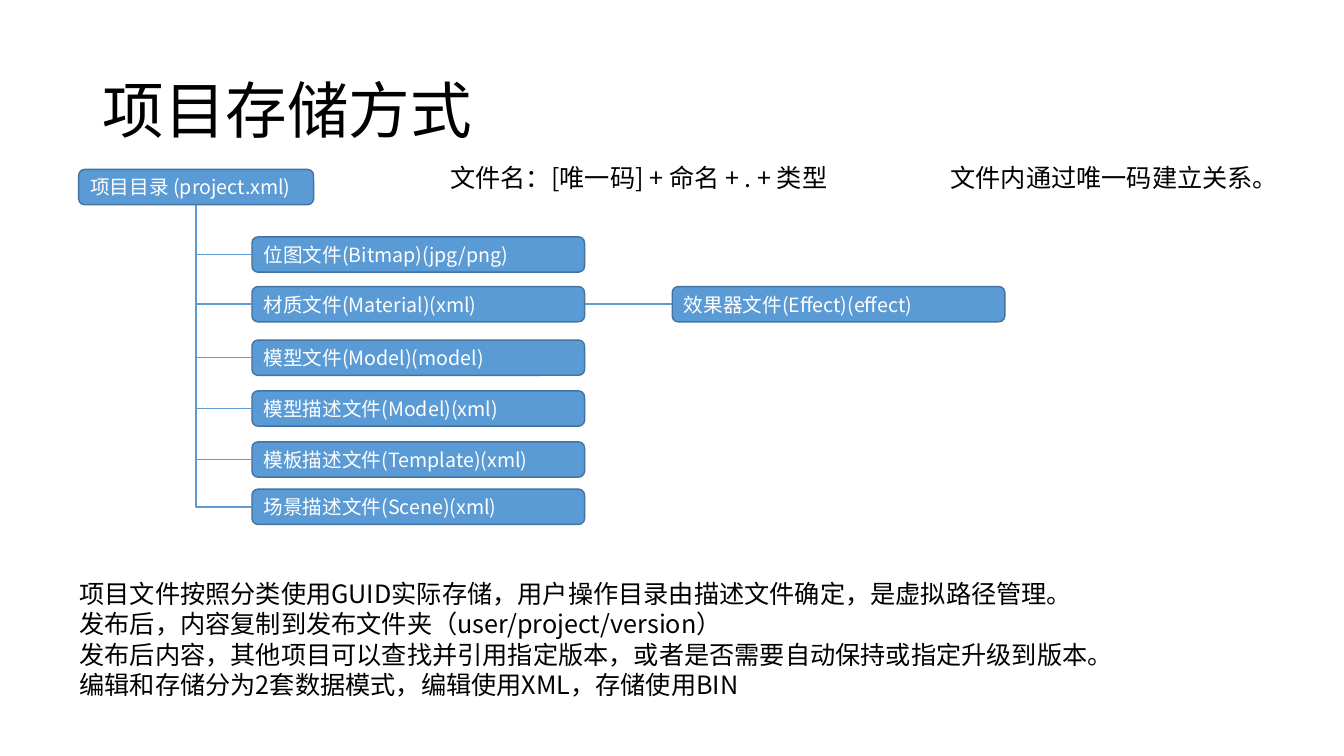
"""Build a slide showing how project files are stored."""

import dataclasses

import pptx
import pptx.dml.color
import pptx.enum.shapes
import pptx.enum.text
import pptx.oxml
import pptx.oxml.ns
import pptx.shapes.autoshape
import pptx.shapes.connector
import pptx.slide
import pptx.text.text
import pptx.util

Pt = pptx.util.Pt
BLUE = pptx.dml.color.RGBColor(0x5B, 0x9B, 0xD5)
DARK_BLUE = pptx.dml.color.RGBColor(0x43, 0x73, 0x9E)
WHITE = pptx.dml.color.RGBColor(0xFF, 0xFF, 0xFF)
BLACK = pptx.dml.color.RGBColor(0x00, 0x00, 0x00)
FONT = "Noto Sans CJK SC"
NODE_HEIGHT = 25.2
FILE_LEFT, FILE_WIDTH = 180, 237.6
BOTTOM_SITE, LEFT_SITE, RIGHT_SITE = 2, 1, 3


@dataclasses.dataclass(frozen=True)
class Node:
    text: str
    left: float
    top: float
    width: float = FILE_WIDTH

    @property
    def middle(self) -> float:
        return self.top + NODE_HEIGHT / 2


@dataclasses.dataclass(frozen=True)
class Label:
    lines: tuple[str, ...]
    left: float
    top: float
    width: float
    height: float
    size: float = 18
    line_spacing: float = 1.0
    anchor: pptx.enum.text.MSO_ANCHOR = pptx.enum.text.MSO_ANCHOR.TOP


ROOT = Node("项目目录 (project.xml)", 56.2, 121, 167.8)
BITMAP = Node("位图文件(Bitmap)(jpg/png)", FILE_LEFT, 169.2)
MATERIAL = Node("材质文件(Material)(xml)", FILE_LEFT, 204.7)
FILES = (
    BITMAP,
    MATERIAL,
    Node("模型文件(Model)(model)", FILE_LEFT, 242.9),
    Node("模型描述文件(Model)(xml)", FILE_LEFT, 279.2),
    Node("模板描述文件(Template)(xml)", FILE_LEFT, 315.6),
    Node("场景描述文件(Scene)(xml)", FILE_LEFT, 349.4),
)
EFFECT = Node("效果器文件(Effect)(effect)", 480.2, MATERIAL.top)

LABELS = (
    Label(("项目存储方式",), 66.2, 28.8, 828, 104.4, 44, 0.9,
          pptx.enum.text.MSO_ANCHOR.MIDDLE),
    Label(("文件名：[唯一码] + 命名 + . + 类型",), 314.6, 112.3, 295.2, 29),
    Label(("文件内通过唯一码建立关系。",), 671.8, 112.3, 250.6, 29),
    Label((
        "项目文件按照分类使用GUID实际存储，用户操作目录由描述文件确定，是虚拟路径管理。",
        "发布后，内容复制到发布文件夹（user/project/version）",
        "发布后内容，其他项目可以查找并引用指定版本，或者是否需要自动保持或指定升级到版本。",
        "编辑和存储分为2套数据模式，编辑使用XML，存储使用BIN",
    ), 49.7, 409.7, 861, 94.5),
)


def add_run(paragraph: pptx.text.text._Paragraph, text: str, size: float,
            color: pptx.dml.color.RGBColor) -> None:
    run = paragraph.add_run()
    run.text = text
    run.font.size = Pt(size)
    run.font.name = FONT
    run.font.color.rgb = color
    east_asian = pptx.oxml.parse_xml(
        f'<a:ea {pptx.oxml.ns.nsdecls("a")} typeface="{FONT}"/>')
    run.font._element.append(east_asian)


def add_label(slide: pptx.slide.Slide, label: Label) -> None:
    shape = slide.shapes.add_textbox(
        Pt(label.left), Pt(label.top), Pt(label.width), Pt(label.height))
    frame = shape.text_frame
    frame.word_wrap = True
    frame.vertical_anchor = label.anchor
    for index, line in enumerate(label.lines):
        paragraph = frame.add_paragraph() if index else frame.paragraphs[0]
        paragraph.line_spacing = label.line_spacing
        add_run(paragraph, line, label.size, BLACK)


def add_node(slide: pptx.slide.Slide,
             node: Node) -> pptx.shapes.autoshape.Shape:
    shape = slide.shapes.add_shape(
        pptx.enum.shapes.MSO_SHAPE.ROUNDED_RECTANGLE,
        Pt(node.left), Pt(node.top), Pt(node.width), Pt(NODE_HEIGHT))
    shape.shadow.inherit = False
    shape.fill.solid()
    shape.fill.fore_color.rgb = BLUE
    shape.line.color.rgb = DARK_BLUE
    shape.line.width = Pt(1)
    frame = shape.text_frame
    frame.word_wrap = True
    frame.vertical_anchor = pptx.enum.text.MSO_ANCHOR.MIDDLE
    paragraph = frame.paragraphs[0]
    paragraph.alignment = pptx.enum.text.PP_ALIGN.LEFT
    add_run(paragraph, node.text, 14, WHITE)
    return shape


def add_link(slide: pptx.slide.Slide, kind: pptx.enum.shapes.MSO_CONNECTOR,
             start: pptx.shapes.autoshape.Shape, start_site: int,
             end: pptx.shapes.autoshape.Shape) -> pptx.shapes.connector.Connector:
    connector = slide.shapes.add_connector(kind, Pt(0), Pt(0), Pt(0), Pt(0))
    connector.begin_connect(start, start_site)
    connector.end_connect(end, LEFT_SITE)
    connector.line.color.rgb = BLUE
    connector.line.width = Pt(1)
    connector._element.spPr.append(pptx.oxml.parse_xml(
        f'<a:effectLst {pptx.oxml.ns.nsdecls("a")}/>'))
    return connector


def add_branch(slide: pptx.slide.Slide, root: pptx.shapes.autoshape.Shape,
               file: Node) -> pptx.shapes.autoshape.Shape:
    shape = add_node(slide, file)
    connector = add_link(slide, pptx.enum.shapes.MSO_CONNECTOR.ELBOW,
                         root, BOTTOM_SITE, shape)
    trunk_x = ROOT.left + ROOT.width / 2
    trunk_top = ROOT.top + NODE_HEIGHT
    across = file.left - trunk_x
    down = file.middle - trunk_top
    connector.left = Pt(trunk_x + (across - down) / 2)
    connector.top = Pt(trunk_top + (down - across) / 2)
    connector.width, connector.height = Pt(down), Pt(across)
    properties = connector._element.spPr
    properties.find(pptx.oxml.ns.qn("a:prstGeom")).set("prst", "bentConnector2")
    transform = properties.find(pptx.oxml.ns.qn("a:xfrm"))
    transform.attrib.pop("flipV", None)
    transform.set("rot", "16200000")
    transform.set("flipH", "1")
    return shape


def main() -> None:
    presentation = pptx.Presentation()
    presentation.slide_width, presentation.slide_height = Pt(960), Pt(540)
    slide = presentation.slides.add_slide(presentation.slide_layouts[6])
    for label in LABELS:
        add_label(slide, label)
    root = add_node(slide, ROOT)
    branches = {file: add_branch(slide, root, file) for file in FILES}
    add_link(slide, pptx.enum.shapes.MSO_CONNECTOR.STRAIGHT,
             branches[MATERIAL], RIGHT_SITE, add_node(slide, EFFECT))
    presentation.save("out.pptx")


if __name__ == "__main__":
    main()
